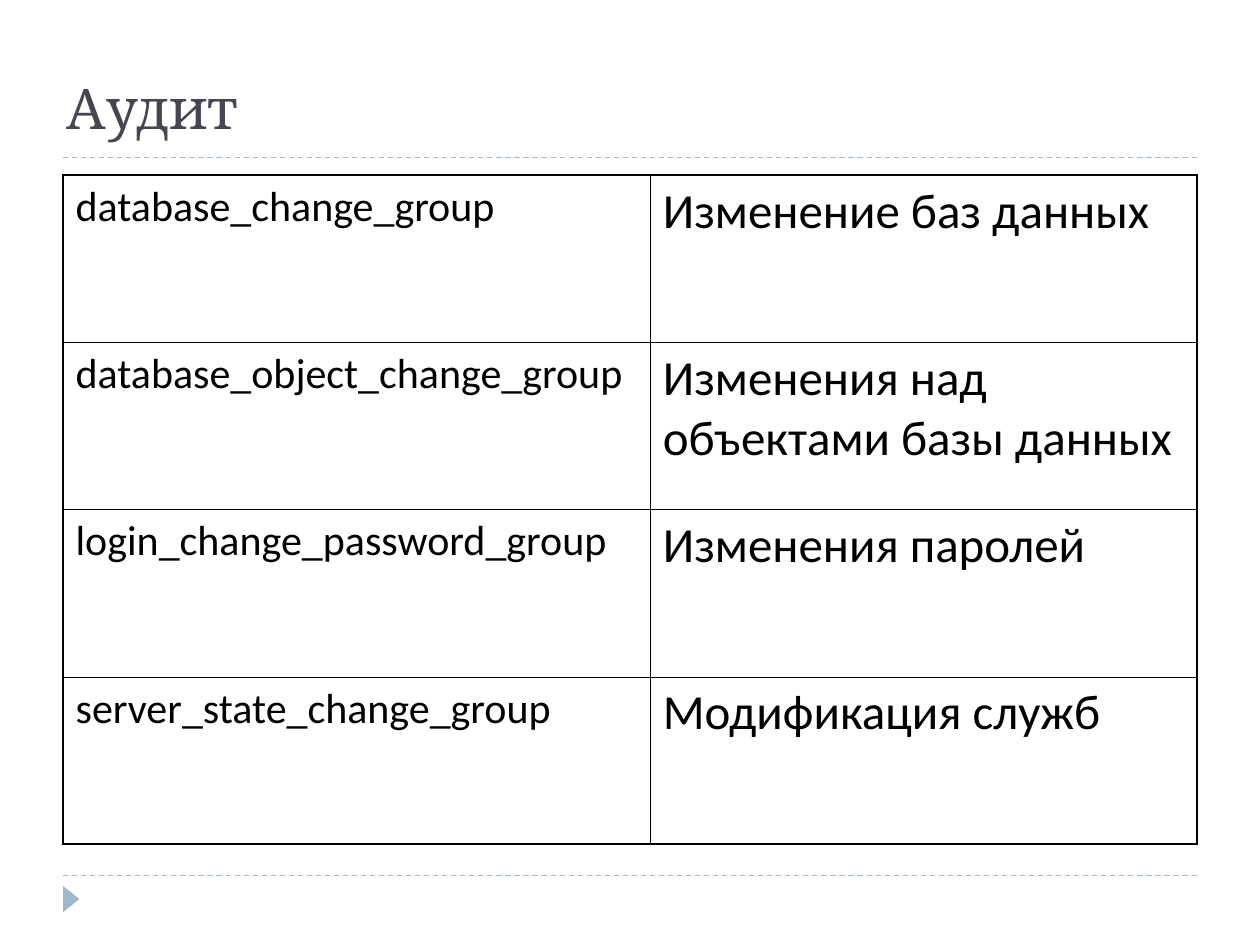
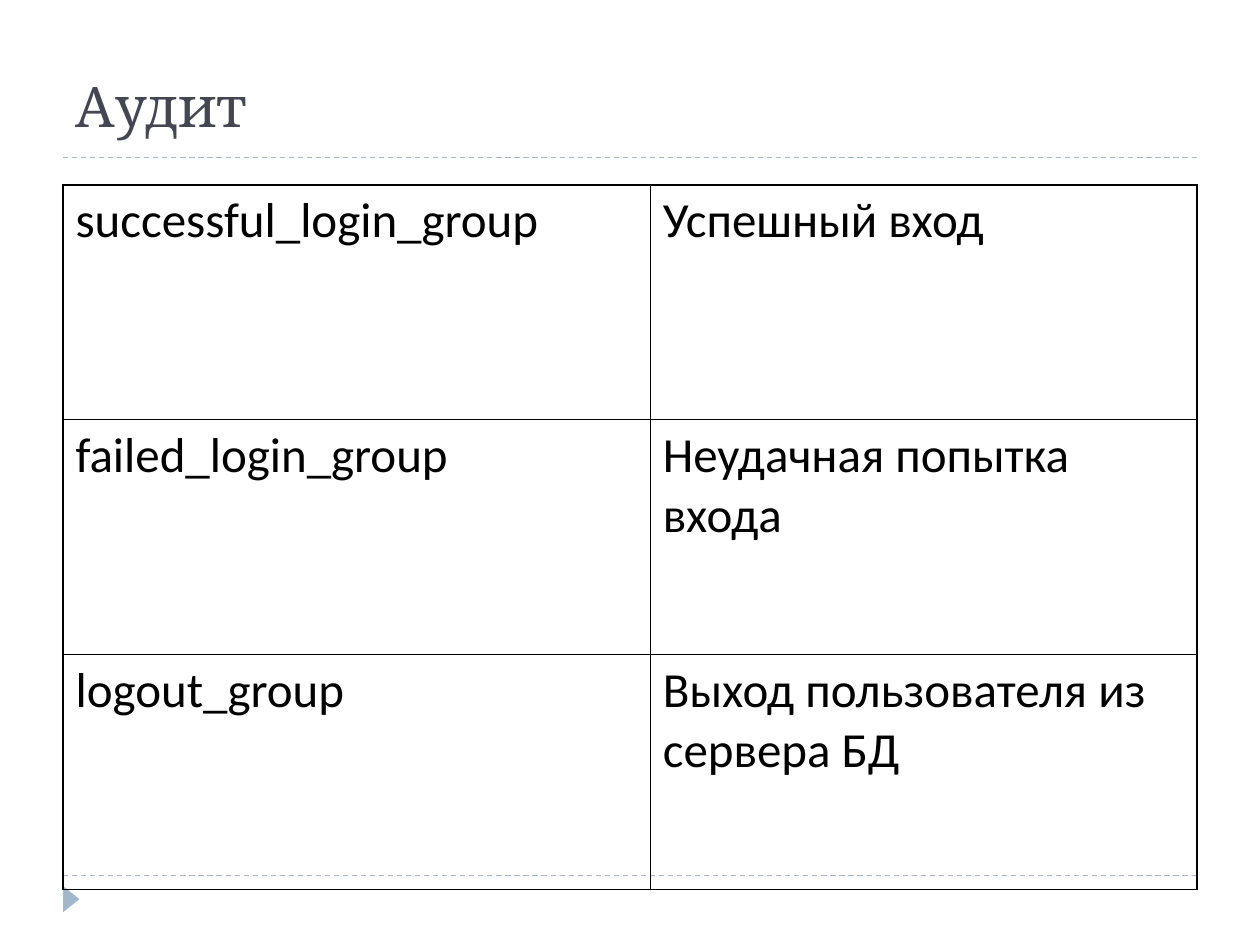
import lxml.etree
import pptx
import pptx.dml.color
import pptx.enum.dml
import pptx.enum.shapes
import pptx.enum.text
import pptx.oxml.ns
import pptx.util

Cm = pptx.util.Cm
Pt = pptx.util.Pt
qn = pptx.oxml.ns.qn

ACCENT = "9FB8CD"
TITLE_COLOR = "464653"
BLACK = "000000"
TITLE_FONT = "Cambria"
BODY_FONT = "Calibri"
MARGIN = 1.27
CONTENT_WIDTH = 22.86
RULE_TOPS = (17.65, 3.18)
COLUMN_WIDTHS = (11.84, 11.02)
OUTER_BORDER = 1.08
INNER_BORDER = 0.45

AUDIT_SLIDES = [
    {
        "title": "Аудит",
        "title_box": (1.09, 0.91, 22.86, 2.06),
        "table_box": (MARGIN, 3.53, CONTENT_WIDTH, 13.49),
        "sizes": (24, 28),
        "rows": [
            ("database_change_group", "Изменение баз данных"),
            ("database_object_change_group", "Изменения над объектами базы данных"),
            ("login_change_password_group", "Изменения паролей"),
            ("server_state_change_group", "Модификация служб"),
        ],
    },
    {
        "title": "Аудит",
        "title_box": (1.27, 0.76, 22.86, 2.16),
        "table_box": (MARGIN, 3.73, CONTENT_WIDTH, 14.2),
        "sizes": (28, 28),
        "rows": [
            ("successful_login_group", "Успешный вход"),
            ("failed_login_group", "Неудачная попытка входа"),
            ("logout_group", "Выход пользователя из сервера БД"),
        ],
    },
]


def rgb(value):
    return pptx.dml.color.RGBColor.from_string(value)


def add_text(p, text, font, size, color):
    p.alignment = pptx.enum.text.PP_ALIGN.LEFT
    r = p.add_run()
    r.text = text
    r.font.name = font
    r.font.size = Pt(size)
    r.font.bold = False
    r.font.color.rgb = rgb(color)


def add_rule(slide, left, top, width):
    line = slide.shapes.add_connector(
        pptx.enum.shapes.MSO_CONNECTOR.STRAIGHT,
        Cm(left), Cm(top), Cm(left + width), Cm(top))
    line.line.color.rgb = rgb(ACCENT)
    line.line.width = Pt(0.75)
    line.line.dash_style = pptx.enum.dml.MSO_LINE.DASH
    lxml.etree.SubElement(line._element.spPr, qn("a:effectLst"))


def add_marker(slide, left, top, width, height):
    sp = slide.shapes.add_shape(
        pptx.enum.shapes.MSO_SHAPE.ISOSCELES_TRIANGLE,
        Cm(left), Cm(top), Cm(width), Cm(height))
    sp.rotation = 90
    sp.shadow.inherit = False
    sp.fill.solid()
    sp.fill.fore_color.rgb = rgb(ACCENT)
    sp.line.fill.background()


def add_frame(slide):
    for top in RULE_TOPS:
        add_rule(slide, MARGIN, top, CONTENT_WIDTH)
    add_marker(slide, 1.17, 17.96, 0.53, 0.33)


def set_title(slide, text, box):
    title = slide.shapes.title
    title.left, title.top, title.width, title.height = map(Cm, box)
    tf = title.text_frame
    tf.auto_size = pptx.enum.text.MSO_AUTO_SIZE.NONE
    tf.vertical_anchor = pptx.enum.text.MSO_ANCHOR.BOTTOM
    add_text(tf.paragraphs[0], text, TITLE_FONT, 32, TITLE_COLOR)


def set_borders(cell, outer_sides):
    tc_pr = cell._tc.get_or_add_tcPr()
    for side in "LRTB":
        width = OUTER_BORDER if side in outer_sides else INNER_BORDER
        ln = lxml.etree.SubElement(tc_pr, qn("a:ln" + side), w=str(Pt(width)))
        fill = lxml.etree.SubElement(ln, qn("a:solidFill"))
        lxml.etree.SubElement(fill, qn("a:srgbClr"), val=BLACK)


def add_group_table(slide, rows, sizes, box):
    table = slide.shapes.add_table(len(rows), len(COLUMN_WIDTHS), *map(Cm, box)).table
    table.first_row = False
    table.horz_banding = False
    for column, width in zip(table.columns, COLUMN_WIDTHS):
        column.width = Cm(width)
    for i, row in enumerate(rows):
        for j, (text, size) in enumerate(zip(row, sizes)):
            cell = table.cell(i, j)
            outer_sides = "L" if j == 0 else "R"
            if i == 0:
                outer_sides += "T"
            if i == len(rows) - 1:
                outer_sides += "B"
            set_borders(cell, outer_sides)
            cell.fill.background()
            add_text(cell.text_frame.paragraphs[0], text, BODY_FONT, size, BLACK)


def add_audit_slide(prs, content):
    slide = prs.slides.add_slide(prs.slide_layouts.get_by_name("Title Only"))
    add_frame(slide)
    set_title(slide, content["title"], content["title_box"])
    add_group_table(slide, content["rows"], content["sizes"], content["table_box"])


def main():
    prs = pptx.Presentation()
    prs.slide_width = Cm(25.4)
    prs.slide_height = Cm(19.05)
    for content in AUDIT_SLIDES:
        add_audit_slide(prs, content)
    prs.save("out.pptx")


if __name__ == "__main__":
    main()
